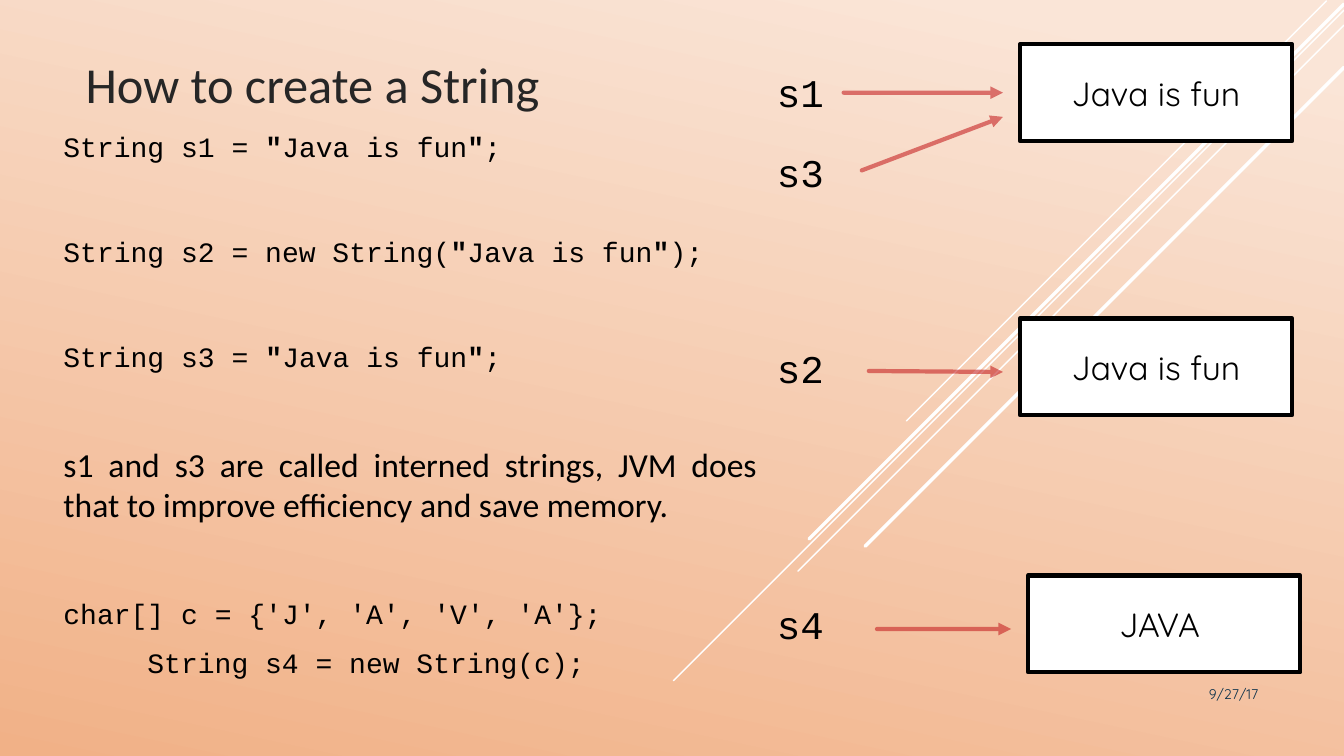
from lxml import etree
from pptx import Presentation
from pptx import util as u
from pptx.dml import color
from pptx.enum import shapes, text
from pptx.oxml import ns

Pt = u.Pt
ALIGN = text.PP_ALIGN
ANCHOR = text.MSO_ANCHOR


class Deck:
    """Holds the style and the current slide."""

    hues = {"top": "FAE5D7", "base": "F1B187", "white": "FFFFFF", "black": "000000",
            "title": "262626", "date": "0A304A", "arrow": "C62324"}
    sans, mono, label = "Calibri", "Courier New", "Quicksand"

    def __init__(self, wide, high):
        self.prs = Presentation()
        self.prs.slide_width, self.prs.slide_height = Pt(wide), Pt(high)
        self.slide = self.prs.slides.add_slide(self.prs.slide_layouts[6])

    def hue(self, name):
        return color.RGBColor.from_string(self.hues[name])

    def back(self, angle, *stops):
        fill = self.slide.background.fill
        fill.gradient()
        fill.gradient_angle = 360 - angle
        for stop, (name, place) in zip(fill.gradient_stops, stops):
            stop.color.rgb = self.hue(name)
            stop.position = place

    def line(self, start, end, name, width, alpha=None, head=False):
        line = self.slide.shapes.add_connector(
            shapes.MSO_CONNECTOR.STRAIGHT, *map(Pt, start + end))
        line.line.color.rgb = self.hue(name)
        line.line.width = Pt(width)
        props = line._element.spPr
        ln = props.find(ns.qn("a:ln"))
        ln.set("cap", "rnd")
        if alpha:
            tint = ln.find(".//" + ns.qn("a:srgbClr"))
            etree.SubElement(tint, ns.qn("a:alpha")).set("val", str(alpha * 1000))
        if head:
            etree.SubElement(ln, ns.qn("a:tailEnd")).set("type", "triangle")
        etree.SubElement(props, ns.qn("a:effectLst"))

    def run(self, para, words, font, size, name="black", bold=False):
        run = para.add_run()
        run.text = words
        run.font.name, run.font.size, run.font.bold = font, Pt(size), bold
        run.font.color.rgb = self.hue(name)

    def text(self, area, anchor=ANCHOR.TOP):
        frame = self.slide.shapes.add_textbox(*map(Pt, area)).text_frame
        frame.word_wrap = True
        frame.vertical_anchor = anchor
        return frame

    def note(self, area, words, font, size, name="black", align=ALIGN.LEFT,
             anchor=ANCHOR.TOP):
        para = self.text(area, anchor).paragraphs[0]
        para.alignment = align
        self.run(para, words, font, size, name)

    def body(self, area, rows):
        frame = self.text(area)
        for num, (gap, indent, font, size, bits) in enumerate(rows):
            para = frame.add_paragraph() if num else frame.paragraphs[0]
            para.alignment = ALIGN.JUSTIFY
            para.space_before, para.space_after = Pt(gap), Pt(0)
            if indent:
                para._p.get_or_add_pPr().set("marL", str(Pt(indent)))
            for spot, bit in enumerate(bits):
                if spot:
                    self.run(para, '"', font, size, bold=True)
                self.run(para, bit, font, size)

    def box(self, area, words):
        box = self.slide.shapes.add_shape(shapes.MSO_SHAPE.RECTANGLE, *map(Pt, area))
        box.shadow.inherit = False
        box.fill.solid()
        box.fill.fore_color.rgb = self.hue("white")
        box.line.color.rgb = self.hue("black")
        box.line.width = Pt(3)
        box.text_frame.vertical_anchor = ANCHOR.MIDDLE
        para = box.text_frame.paragraphs[0]
        para.alignment = ALIGN.CENTER
        self.run(para, words, self.label, 24)


def main():
    deck = Deck(960, 540)
    deck.back(102, ("top", 0.07), ("base", 1))
    for x, y, span, width in ((947.5, 0.7, 300, 1), (960, 7.2, 479, 1),
                              (960, 18, 390, 1), (960, 2.9, 382, 2.5),
                              (960, 48.2, 342, 2.5)):
        deck.line((x, y), (x - span, y + span), "white", width)

    deck.note((54, 10.8, 630, 74.2), "How to create a String", deck.sans, 36,
              "title", anchor=ANCHOR.BOTTOM)
    fun = "Java is fun"
    code = (deck.mono, 20)
    deck.body((38.2, 88.6, 509.8, 438.5), (
        (4, 0, *code, ("String s1 = ", fun, ";")),
        (51, 0, *code, ("String s2 = new String(", fun, ");")),
        (51, 0, *code, ("String s3 = ", fun, ";")),
        (51, 0, deck.sans, 24, ("s1 and s3 are called interned strings, JVM does "
                                "that to improve efficiency and save memory.",)),
        (51, 0, *code, ("char[] c = {'J', 'A', 'V', 'A'};",)),
        (11, 60, *code, ("String s4 = new String(c);",))))
    deck.note((779.8, 486, 126, 28.8), "9/27/17", deck.label, 10, "date", ALIGN.RIGHT)

    for x, y, words in ((728.6, 31.7, fun), (728.6, 227.5, fun), (734.4, 411.1, "JAVA ")):
        deck.box((x, y, 194.4, 69.1), words)
    for name, y, start, end in (("s1", 45.4, (602.6, 66.2), (716.4, 66.2)),
                                ("s3", 102.2, (615.6, 121.7), (716.4, 83.5)),
                                ("s2", 242.6, (620.6, 265), (716.4, 265.7)),
                                ("s4", 425.5, (626.4, 449.3), (722.2, 449.3))):
        deck.note((547.9, y, 57.6, 41), name, deck.mono, 28)
        deck.line(start, end, "arrow", 3, 60, True)
    deck.prs.save("out.pptx")


if __name__ == "__main__":
    main()
